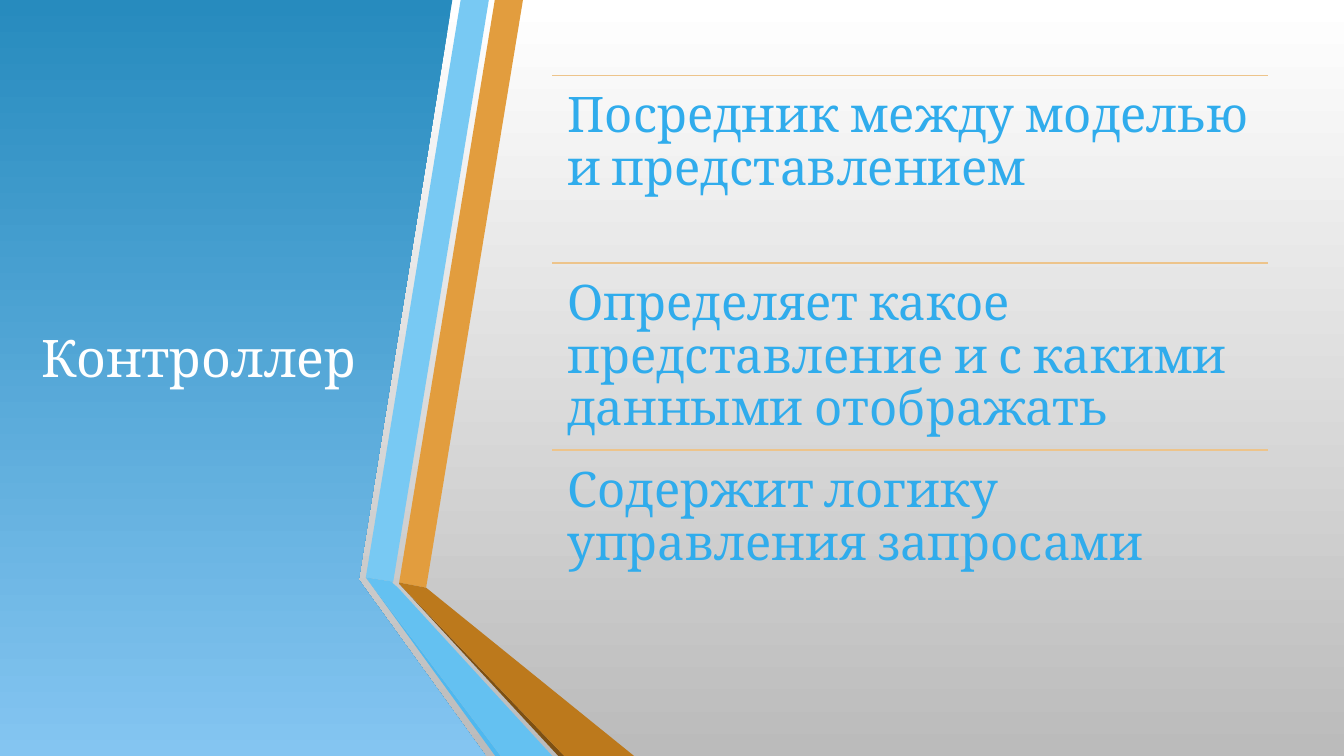
import pptx
import pptx.util
import pptx.dml.color
import pptx.enum.text
import pptx.enum.shapes
import pptx.oxml.ns
import lxml.etree

Cm = pptx.util.Cm
Pt = pptx.util.Pt


def tint(text):
    return pptx.dml.color.RGBColor.from_string(text)


def shade(fill, top, base):
    fill.gradient()
    fill.gradient_angle = 270
    for stop, color in zip(fill.gradient_stops, (top, base)):
        stop.color.rgb = tint(color)


deck = pptx.Presentation()
deck.slide_width = Cm(33.87)
deck.slide_height = Cm(19.05)
slide = deck.slides.add_slide(deck.slide_layouts[6])
shapes = slide.shapes
shade(slide.background.fill, "FFFFFF", "BBBBBB")

bands = [
    (("278BBE", "84C5F1"), [(897, 0), (1140, 0), (904, 1461), (1224, 1905), (0, 1905), (0, 0)]),
    (("E29D3E",), [(1006, 1468), (1074, 1481), (1318, 0), (1247, 0)]),
    (("78C9F3",), [(1232, 0), (1161, 0), (922, 1455), (991, 1466)]),
    (("4FB8EF",), [(922, 1455), (1248, 1905), (1262, 1905)]),
    (("7D5013",), [(1006, 1471), (1407, 1905), (1422, 1905)]),
    (("BC791C",), [(1006, 1471), (1422, 1905), (1598, 1905), (1074, 1481), (1006, 1468)]),
    (("64C1F1",), [(1392, 1905), (1003, 1481), (988, 1468), (991, 1466), (922, 1455), (1262, 1905)]),
]
for colors, points in bands:
    pen = shapes.build_freeform(*points[0], scale=Cm(0.01))
    pen.add_line_segments(points[1:], close=True)
    band = pen.convert_to_shape()
    band.shadow.inherit = False
    band.line.fill.background()
    if len(colors) == 2:
        shade(band.fill, *colors)
    else:
        band.fill.solid()
        band.fill.fore_color.rgb = tint(colors[0])

title = shapes.add_textbox(Cm(-0.05), Cm(1.9), Cm(10.11), Cm(14.17))
frame = title.text_frame
frame.word_wrap = True
frame.vertical_anchor = pptx.enum.text.MSO_ANCHOR.MIDDLE
para = frame.paragraphs[0]
para.text = "Контроллер"
para.alignment = pptx.enum.text.PP_ALIGN.CENTER
para.font.name = "Cambria"
para.font.size = Pt(37)
para.font.color.rgb = tint("FFFFFF")

left, top, width, height = 13.92, 1.9, 18.03, 4.72
roles = [
    "Посредник между моделью и представлением",
    "Определяет какое представление и с какими данными отображать",
    "Содержит логику управления запросами",
]
for row, role in enumerate(roles):
    y = Cm(top + row * height)
    rule = shapes.add_connector(
        pptx.enum.shapes.MSO_CONNECTOR.STRAIGHT, Cm(left), y, Cm(left + width), y)
    rule.line.color.rgb = tint("EDC48B")
    rule.line.width = Pt(1.25)
    lxml.etree.SubElement(rule._element.spPr, pptx.oxml.ns.qn("a:effectLst"))

    box = shapes.add_textbox(Cm(left), y, Cm(width), Cm(height))
    frame = box.text_frame
    frame.word_wrap = True
    frame.margin_left = frame.margin_right = Cm(0.38)
    frame.margin_top = frame.margin_bottom = Cm(0.38)
    para = frame.paragraphs[0]
    para.text = role
    para.line_spacing = 0.9
    para.font.name = "Cambria"
    para.font.size = Pt(35)
    para.font.color.rgb = tint("30ACEC")

deck.save("out.pptx")
